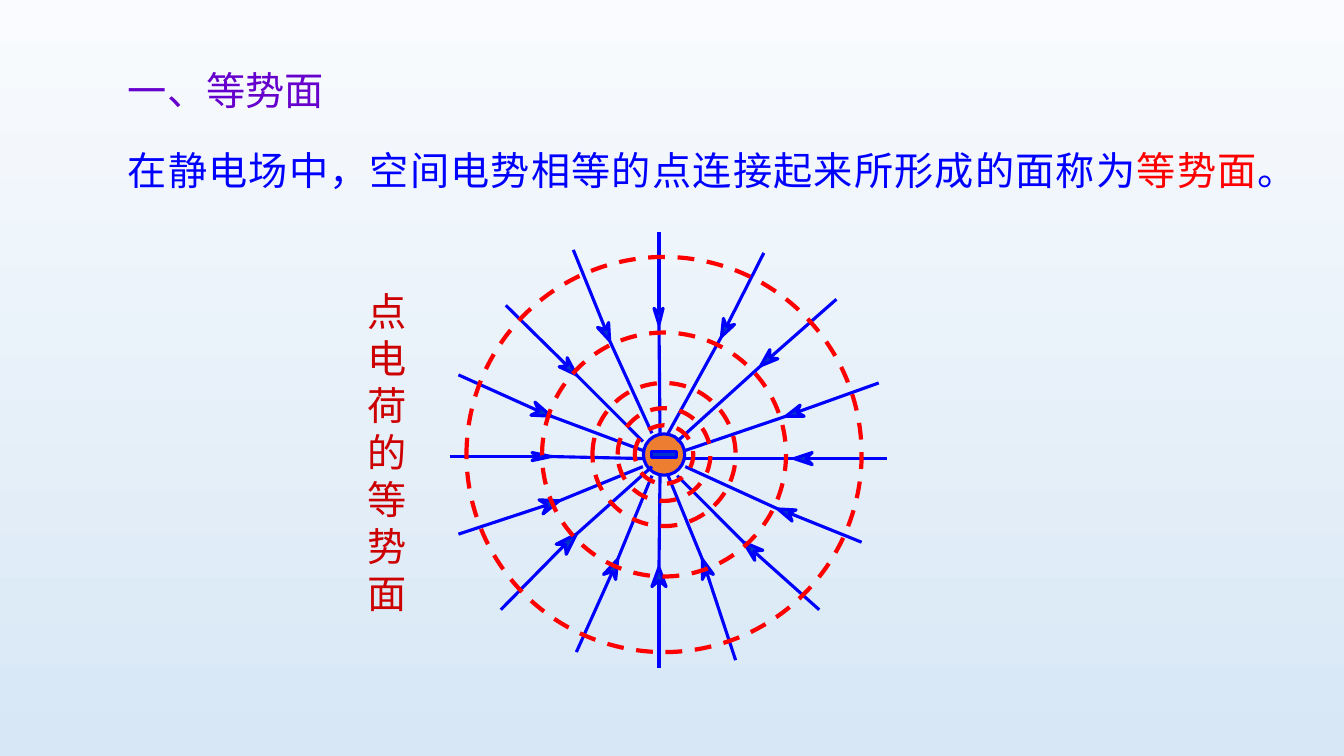
from lxml import etree
from pptx import Presentation
from pptx import util as u
from pptx.dml.color import RGBColor
from pptx.enum import dml, shapes, text
from pptx.oxml import ns

SKY_TOP = RGBColor(0xF9, 0xFB, 0xFE)
SKY_BOTTOM = RGBColor(0xD7, 0xE7, 0xF5)
PURPLE = RGBColor(0x66, 0x00, 0xCC)
BLUE = RGBColor(0x00, 0x00, 0xFF)
ARROW_BLUE = RGBColor(0x00, 0x33, 0xCC)
RED = RGBColor(0xFF, 0x00, 0x00)
DARK_RED = RGBColor(0xCC, 0x00, 0x00)
ORANGE = RGBColor(0xED, 0x7D, 0x31)

FONT = "Times New Roman"
GRID = 0.0254  # cm per diagram unit
CENTRE = (212, 221)
CHARGE_DIAMETER = 41
EQUIPOTENTIAL_DIAMETERS = (242, 142, 92, 58, 392)

# Each field line: tail, wing, tip, other wing, notch, end at the charge
FIELD_LINES = (
    ((0, 223), (81, 227), (100, 223), (81, 219), (87, 223), (191, 225)),
    ((8, 142), (80, 182), (100, 183), (84, 169), (88, 178), (191, 217)),
    ((55, 73), (108, 134), (125, 142), (116, 125), (116, 133), (191, 208)),
    ((122, 18), (146, 95), (158, 108), (157, 90), (154, 97), (200, 200)),
    ((207, 0), (202, 76), (207, 92), (211, 76), (207, 81), (208, 200)),
    ((311, 21), (271, 86), (269, 104), (282, 92), (274, 94), (216, 200)),
    ((383, 67), (317, 117), (308, 133), (325, 126), (317, 125), (225, 208)),
    ((425, 150), (347, 172), (333, 183), (351, 183), (344, 179), (233, 217)),
    ((433, 225), (359, 219), (341, 225), (359, 231), (353, 225), (233, 225)),
    ((408, 308), (343, 276), (325, 275), (339, 287), (336, 279), (233, 233)),
    ((366, 375), (310, 316), (291, 308), (302, 326), (301, 317), (225, 242)),
    ((283, 425), (261, 340), (250, 325), (250, 345), (254, 337), (216, 242)),
    ((207, 433), (214, 352), (207, 333), (200, 352), (207, 346), (208, 242)),
    ((125, 417), (164, 345), (166, 325), (152, 340), (161, 337), (200, 242)),
    ((50, 375), (115, 320), (125, 300), (105, 310), (114, 310), (200, 233)),
    ((8, 300), (92, 280), (108, 267), (88, 266), (96, 271), (191, 233)),
)


def cm_box(*lengths):
    """Return left, top, width and height given in centimetres."""
    return tuple(u.Cm(length) for length in lengths)


def write_runs(holder, box, runs, align):
    """Place a text holder in its box and fill it with coloured runs."""
    holder.left, holder.top, holder.width, holder.height = box
    frame = holder.text_frame
    frame.word_wrap = True
    frame.auto_size = text.MSO_AUTO_SIZE.NONE
    frame.vertical_anchor = text.MSO_ANCHOR.TOP
    paragraph = frame.paragraphs[0]
    paragraph.alignment = align
    for wording, colour in runs:
        run = paragraph.add_run()
        run.text = wording
        run.font.size = u.Pt(28)
        run.font.name = FONT
        run.font.color.rgb = colour


def add_background(slide):
    """Fill the background with a gradient from top to bottom."""
    fill = slide.background.fill
    fill.gradient()
    fill.gradient_angle = 270
    for stop, colour, position in zip(
            fill.gradient_stops, (SKY_TOP, SKY_BOTTOM), (0, 1)):
        stop.color.rgb = colour
        stop.position = position


def add_heading(slide, box):
    """Write the section heading in the title placeholder."""
    write_runs(slide.shapes.title, box, [("一、等势面", PURPLE)],
               text.PP_ALIGN.JUSTIFY)


def add_definition(slide, box):
    """Write the definition with its key term in red."""
    write_runs(slide.shapes.add_textbox(*box), box, [
        ("在静电场中，空间电势相等的点连接起来所形成的面称为", BLUE),
        ("等势面", RED),
        ("。", BLUE),
    ], text.PP_ALIGN.JUSTIFY)


def add_caption(slide, box):
    """Write the caption in a box one character wide."""
    write_runs(slide.shapes.add_textbox(*box), box,
               [("点电荷的等势面", DARK_RED)], text.PP_ALIGN.LEFT)


def style(shape, fill, line, width):
    """Set the fill (None for hollow) and outline of a shape."""
    shape.shadow.inherit = False
    if fill is None:
        shape.fill.background()
    else:
        shape.fill.solid()
        shape.fill.fore_color.rgb = fill
    shape.line.color.rgb = line
    shape.line.width = u.Pt(width)


def add_diagram(slide, box):
    """Draw the negative charge, its field lines and equipotentials."""
    left, top = box[:2]

    def place(point):
        return left + u.Cm(point[0] * GRID), top + u.Cm(point[1] * GRID)

    def add_centred(kind, width, height, fill, line, weight):
        corner = place((CENTRE[0] - width / 2, CENTRE[1] - height / 2))
        shape = slide.shapes.add_shape(
            kind, *corner, u.Cm(width * GRID), u.Cm(height * GRID))
        style(shape, fill, line, weight)
        return shape

    def add_segment(start, end):
        segment = slide.shapes.add_connector(
            shapes.MSO_CONNECTOR.STRAIGHT, *place(start), *place(end))
        segment.line.color.rgb = BLUE
        segment.line.width = u.Pt(2.25)
        etree.SubElement(segment._element.spPr, ns.qn("a:effectLst"))

    oval = shapes.MSO_SHAPE.OVAL
    add_centred(oval, CHARGE_DIAMETER, CHARGE_DIAMETER, ORANGE, BLUE, 2.25)
    add_centred(shapes.MSO_SHAPE.RECTANGLE, 25, 6, ARROW_BLUE, BLUE, 2.25)

    for tail, wing, tip, other_wing, notch, end in FIELD_LINES:
        add_segment(tail, notch)
        add_segment(tip, end)
        builder = slide.shapes.build_freeform(*place(wing))
        builder.add_line_segments(
            [place(point) for point in (tip, other_wing, notch)], close=True)
        style(builder.convert_to_shape(), ARROW_BLUE, BLUE, 2.25)

    for diameter in EQUIPOTENTIAL_DIAMETERS:
        surface = add_centred(oval, diameter, diameter, None, RED, 3)
        surface.line.dash_style = dml.MSO_LINE.DASH


def main():
    """Build the slide and save it."""
    deck = Presentation()
    deck.slide_width, deck.slide_height = u.Cm(33.87), u.Cm(19.05)
    slide = deck.slides.add_slide(deck.slide_layouts.get_by_name("Title Only"))
    add_background(slide)
    add_heading(slide, cm_box(2.97, 1.55, 15.21, 1.45))
    add_definition(slide, cm_box(2.97, 3.56, 28.98, 1.45))
    add_diagram(slide, cm_box(11.35, 5.84, 11, 11))
    add_caption(slide, cm_box(9.02, 7.11, 1.7, 8.64))
    deck.save("out.pptx")


main()
